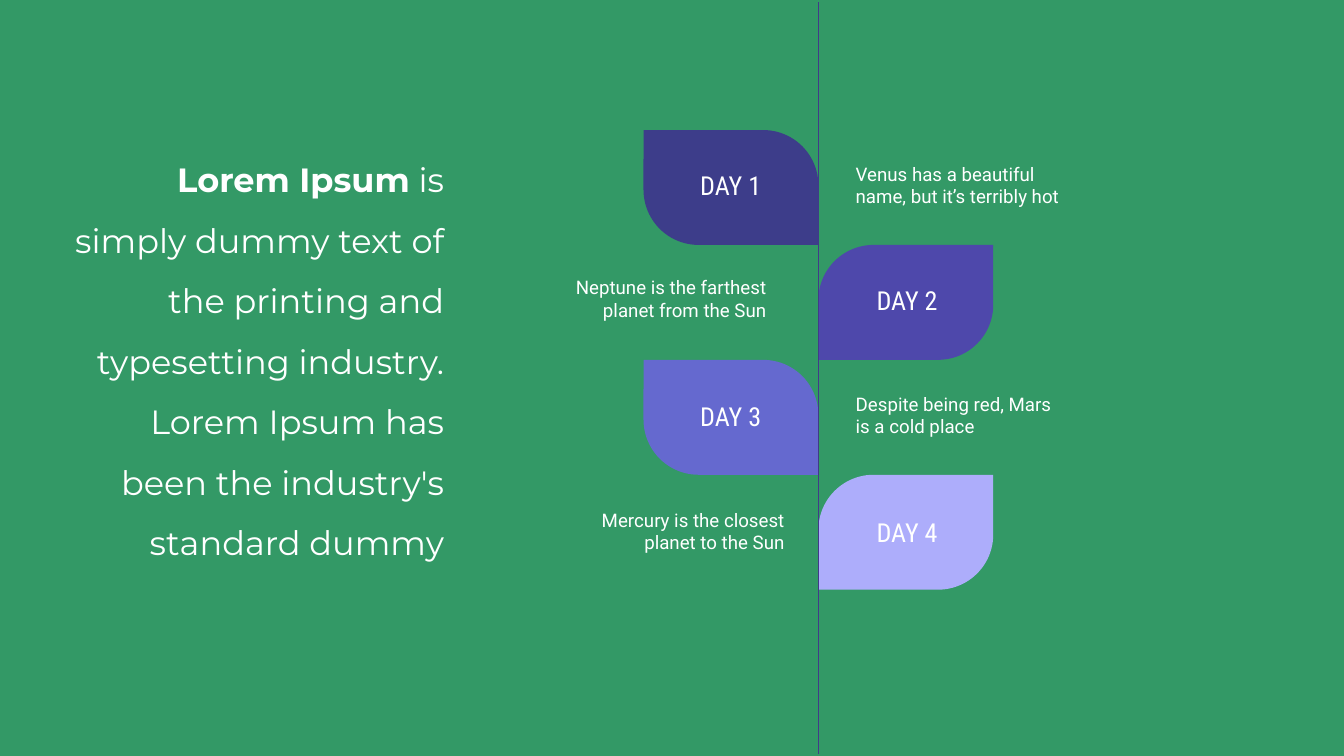
from dataclasses import dataclass

from lxml.etree import SubElement
from pptx import Presentation
from pptx.dml.color import RGBColor
from pptx.enum.shapes import MSO_CONNECTOR, MSO_SHAPE
from pptx.enum.text import MSO_ANCHOR, PP_ALIGN
from pptx.oxml.ns import qn
from pptx.util import Pt

PX = 9144


@dataclass(frozen=True)
class Theme:
    background: str = "339966"
    line: str = "413A89"
    text: str = "FFFFFF"
    days: tuple = ("3D3D8A", "4E48AB", "6569CF", "ADADFB")
    intro_font: str = "Montserrat"
    note_font: str = "Roboto"
    day_font: str = "Roboto Condensed"
    intro_size: float = 48
    note_size: float = 26.7
    day_size: float = 37.3
    line_width: float = 2.25


class SlideBuilder:
    def __init__(self, page, theme):
        self.page = page
        self.theme = theme

    def background(self):
        fill = self.page.background.fill
        fill.solid()
        fill.fore_color.rgb = RGBColor.from_string(self.theme.background)

    def leaf(self, left, top, width, height, color, adjustments):
        shape = self.page.shapes.add_shape(
            MSO_SHAPE.ROUND_2_DIAG_RECTANGLE,
            left * PX, top * PX, width * PX, height * PX)
        shape.shadow.inherit = False
        for index, value in enumerate(adjustments):
            shape.adjustments[index] = value
        shape.fill.solid()
        shape.fill.fore_color.rgb = RGBColor.from_string(color)
        shape.line.fill.background()

    def vertical_line(self, x, top, bottom):
        connector = self.page.shapes.add_connector(
            MSO_CONNECTOR.STRAIGHT, x * PX, top * PX, x * PX, bottom * PX)
        connector.line.color.rgb = RGBColor.from_string(self.theme.line)
        connector.line.width = Pt(self.theme.line_width)
        SubElement(connector.element.spPr, qn("a:effectLst"))

    def text(self, bounds, spans, font, size, align, inset=27,
             anchor=MSO_ANCHOR.TOP, spacing=None):
        box = self.page.shapes.add_textbox(*(value * PX for value in bounds))
        frame = box.text_frame
        frame.word_wrap = True
        frame.vertical_anchor = anchor
        frame.margin_left = frame.margin_right = inset * PX
        frame.margin_top = frame.margin_bottom = min(inset, 27) * PX
        para = frame.paragraphs[0]
        para.alignment = align
        if spacing:
            para.line_spacing = spacing
        for words, bold in spans:
            span = para.add_run()
            span.text = words
            span.font.name = font
            span.font.size = Pt(size)
            span.font.bold = bold
            span.font.color.rgb = RGBColor.from_string(self.theme.text)

    def intro(self, bounds, spans):
        self.text(bounds, spans, self.theme.intro_font, self.theme.intro_size,
                  PP_ALIGN.RIGHT, inset=10, spacing=1.5)

    def day_label(self, bounds, words):
        self.text(bounds, [(words, False)], self.theme.day_font,
                  self.theme.day_size, PP_ALIGN.CENTER)

    def note(self, bounds, words, align):
        self.text(bounds, [(words, False)], self.theme.note_font,
                  self.theme.note_size, align, anchor=MSO_ANCHOR.MIDDLE)


def main():
    deck = Presentation()
    deck.slide_width, deck.slide_height = 2667 * PX, 1500 * PX
    theme = Theme()
    builder = SlideBuilder(deck.slides.add_slide(deck.slide_layouts[6]), theme)
    builder.background()

    axis, first_top, leaf_width, leaf_height = 1624, 258, 347, 228
    days = [
        (310, "Venus has a beautiful name, but it’s terribly hot", (1671, 287, 496, 159)),
        (537, "Neptune is the farthest planet from the Sun", (1064, 513, 484, 159)),
        (767, "Despite being red, Mars is a cold place", (1671, 744, 451, 159)),
        (998, "Mercury is the closest planet to the Sun", (1079, 974, 505, 159)),
    ]
    for index, color in enumerate(theme.days):
        on_right = index % 2 == 1
        left = axis if on_right else axis - leaf_width
        builder.leaf(left, first_top + index * leaf_height, leaf_width, leaf_height,
                     color, (0.48, 0) if on_right else (0, 0.48))
    builder.vertical_line(axis, 4, 1497)

    for index, (label_top, words, bounds) in enumerate(days):
        on_right = index % 2 == 1
        builder.day_label((1711 if on_right else 1361, label_top, 178, 112),
                          f"DAY {index + 1}")
        builder.note(bounds, words, PP_ALIGN.RIGHT if on_right else PP_ALIGN.LEFT)

    builder.intro((137, 266, 754, 845), [
        ("Lorem Ipsum", True),
        (" is simply dummy text of the printing and typesetting industry. "
         "Lorem Ipsum has been the industry's standard dummy", False),
    ])
    deck.save("out.pptx")


if __name__ == "__main__":
    main()
